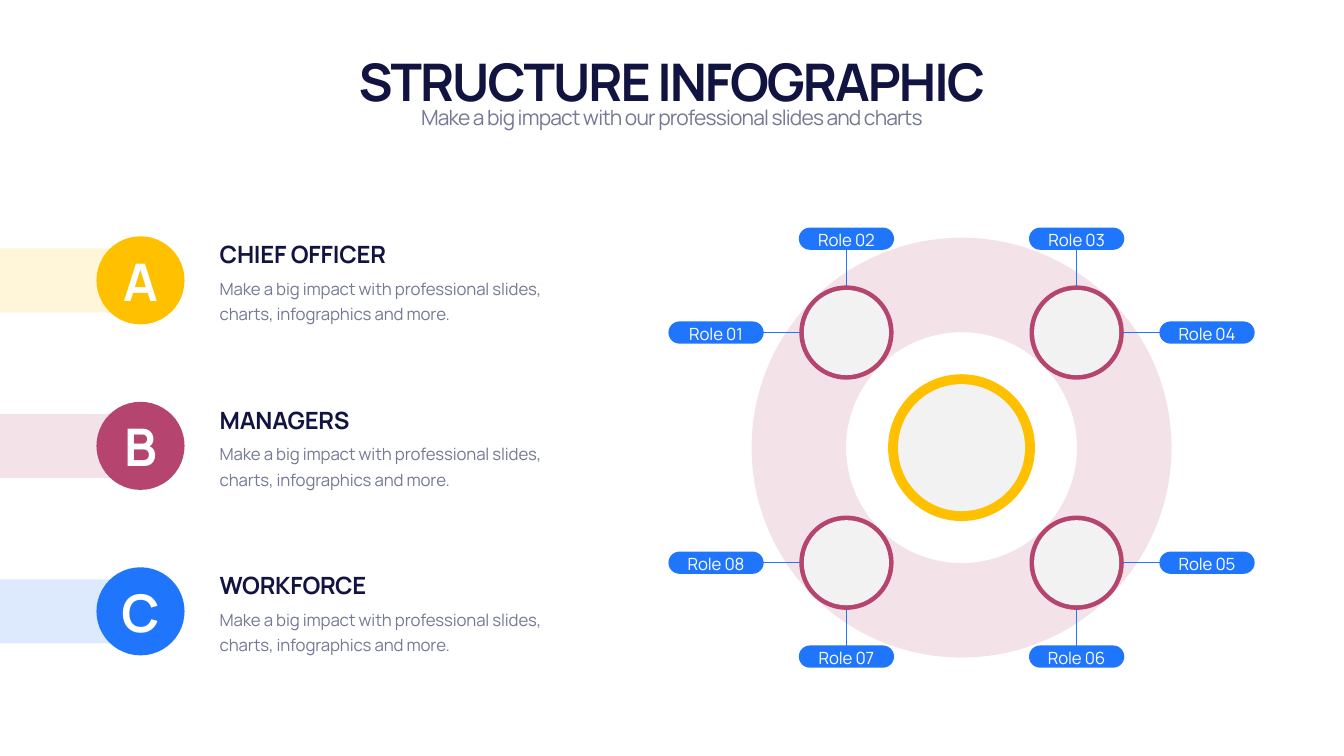
"""Build a structure infographic slide with a role ring and a three-level legend."""
from lxml import etree
from pptx import Presentation
from pptx.dml.color import RGBColor
from pptx.enum.shapes import MSO_SHAPE
from pptx.enum.text import MSO_ANCHOR, PP_ALIGN
from pptx.oxml.ns import qn
from pptx.util import Cm, Pt

OVAL, RECT = MSO_SHAPE.OVAL, MSO_SHAPE.RECTANGLE
PILL, DONUT = MSO_SHAPE.ROUNDED_RECTANGLE, MSO_SHAPE.DONUT
TOP, MIDDLE, BOTTOM = MSO_ANCHOR.TOP, MSO_ANCHOR.MIDDLE, MSO_ANCHOR.BOTTOM
LEFT, CENTER = PP_ALIGN.LEFT, PP_ALIGN.CENTER

FONT = "Manrope"
COLORS = {
    "navy": "111340",
    "gray": "747994",
    "pale": "F2F2F2",
    "white": "FFFFFF",
    "gold": "FFC000",
    "rose": "B5446E",
    "blue": "2075FD",
}
BODY = "Make a big impact with professional slides, charts, infographics and more."
LEVELS = [
    ("A", "CHIEF OFFICER", "gold"),
    ("B", "MANAGERS", "rose"),
    ("C", "WORKFORCE", "blue"),
]
CORNERS = [
    (-1, -1, "Role 01", "Role 02"),
    (1, -1, "Role 04", "Role 03"),
    (1, 1, "Role 05", "Role 06"),
    (-1, 1, "Role 08", "Role 07"),
]
MID_X, MID_Y = 48.45, 22.56


def rgb(name):
    """Return the named colour."""
    return RGBColor.from_string(COLORS[name])


def write(frame, text, size, color, bold=False, track=0, align=CENTER,
          anchor=MIDDLE, lead=None, pads=(0, 0, 0, 0)):
    """Fill a text frame with one styled paragraph."""
    frame.text = text
    frame.word_wrap = True
    frame.vertical_anchor = anchor
    frame.margin_left, frame.margin_top, frame.margin_right, frame.margin_bottom = map(Cm, pads)
    para = frame.paragraphs[0]
    para.alignment = align
    if lead:
        para.line_spacing = Pt(lead)
    run = para.runs[0]
    run.font.name, run.font.size, run.font.bold = FONT, Pt(size), bold
    run.font.color.rgb = rgb(color)
    run._r.get_or_add_rPr().set("spc", str(round(track * 100)))


def add_text(slide, box, text, size, color, **style):
    """Add a text box at left, top, width, height."""
    shape = slide.shapes.add_textbox(*map(Cm, box))
    write(shape.text_frame, text, size, color, **style)


def add_form(slide, kind, x, y, width, height, color, alpha=None):
    """Add a flat shape centred on a point."""
    shape = slide.shapes.add_shape(
        kind, Cm(x - width / 2), Cm(y - height / 2), Cm(width), Cm(height))
    shape.shadow.inherit = False
    shape.fill.solid()
    shape.fill.fore_color.rgb = rgb(color)
    shape.line.fill.background()
    if alpha:
        tint = shape.fill._xPr.find(".//" + qn("a:srgbClr"))
        etree.SubElement(tint, qn("a:alpha")).set("val", str(alpha * 1000))
    return shape


def add_disc(slide, x, y, outer, inner, color):
    """Add a pale disc with a coloured rim."""
    add_form(slide, OVAL, x, y, outer, outer, color)
    add_form(slide, OVAL, x, y, inner, inner, "pale")


def add_tag(slide, x, y, text):
    """Add a pill with a role name."""
    pill = add_form(slide, PILL, x, y, 4.8, 1.12, "blue")
    pill.adjustments[0] = 0.5
    write(pill.text_frame, text, 24, "white", track=-0.2, lead=36,
          pads=(0, 0, 0, 0.18))


def add_elbow(slide, points):
    """Add a thin open line through the points."""
    start, *rest = [(Cm(x), Cm(y)) for x, y in points]
    maker = slide.shapes.build_freeform(*start)
    maker.add_line_segments(rest, close=False)
    line = maker.convert_to_shape()
    line.shadow.inherit = False
    line.fill.background()
    line.line.color.rgb = rgb("blue")
    line.line.width = Pt(1)


def add_level(slide, y, letter, title, color):
    """Add one legend row: bar, badge, title and body."""
    add_form(slide, RECT, 3.54, y, 7.08, 3.23, color, alpha=15)
    badge = add_form(slide, OVAL, 7.08, y, 4.44, 4.44, color)
    write(badge.text_frame, letter, 74, "white", bold=True, track=-2.9)
    add_text(slide, (10.82, y - 2.3, 16.92, 1.7), title, 34, "navy", bold=True,
             track=-0.3, align=LEFT, anchor=BOTTOM, pads=(0.25, 0, 0.25, 0))
    add_text(slide, (10.82, y - 0.44, 16.92, 2.74), BODY, 24, "gray", track=-0.2,
             align=LEFT, anchor=TOP, lead=36, pads=(0.25, 0.1, 0.25, 0.1))


def add_corner(slide, across, down, side, end):
    """Add one ring node with its two role tags."""
    x, y = MID_X + across * 5.8, MID_Y + down * 5.8
    add_elbow(slide, [(x + across * 4.19, y), (x, y), (x, y + down * 4.19)])
    add_tag(slide, x + across * 6.57, y, side)
    add_tag(slide, x, y + down * 4.73, end)
    add_disc(slide, x, y, 4.75, 4.29, "rose")


def main():
    """Build and save the slide."""
    deck = Presentation()
    deck.slide_width, deck.slide_height = Cm(67.72), Cm(38.1)
    slide = deck.slides.add_slide(deck.slide_layouts[6])
    add_text(slide, (4.22, 2.08, 59.26, 3.57), "STRUCTURE INFOGRAPHIC", 74, "navy",
             bold=True, track=-2.9, anchor=BOTTOM)
    add_text(slide, (4.22, 5.26, 59.26, 1.55),
             "Make a big impact with our professional slides and charts",
             30, "gray", track=-1.2, anchor=TOP)
    for row, (letter, title, color) in enumerate(LEVELS):
        add_level(slide, 14.13 + row * 8.34, letter, title, color)
    add_disc(slide, MID_X, MID_Y, 7.4, 6.4, "gold")
    ring = add_form(slide, DONUT, MID_X, MID_Y, 21.16, 21.16, "rose", alpha=15)
    ring.adjustments[0] = 0.225
    for corner in CORNERS:
        add_corner(slide, *corner)
    deck.save("out.pptx")


if __name__ == "__main__":
    main()
